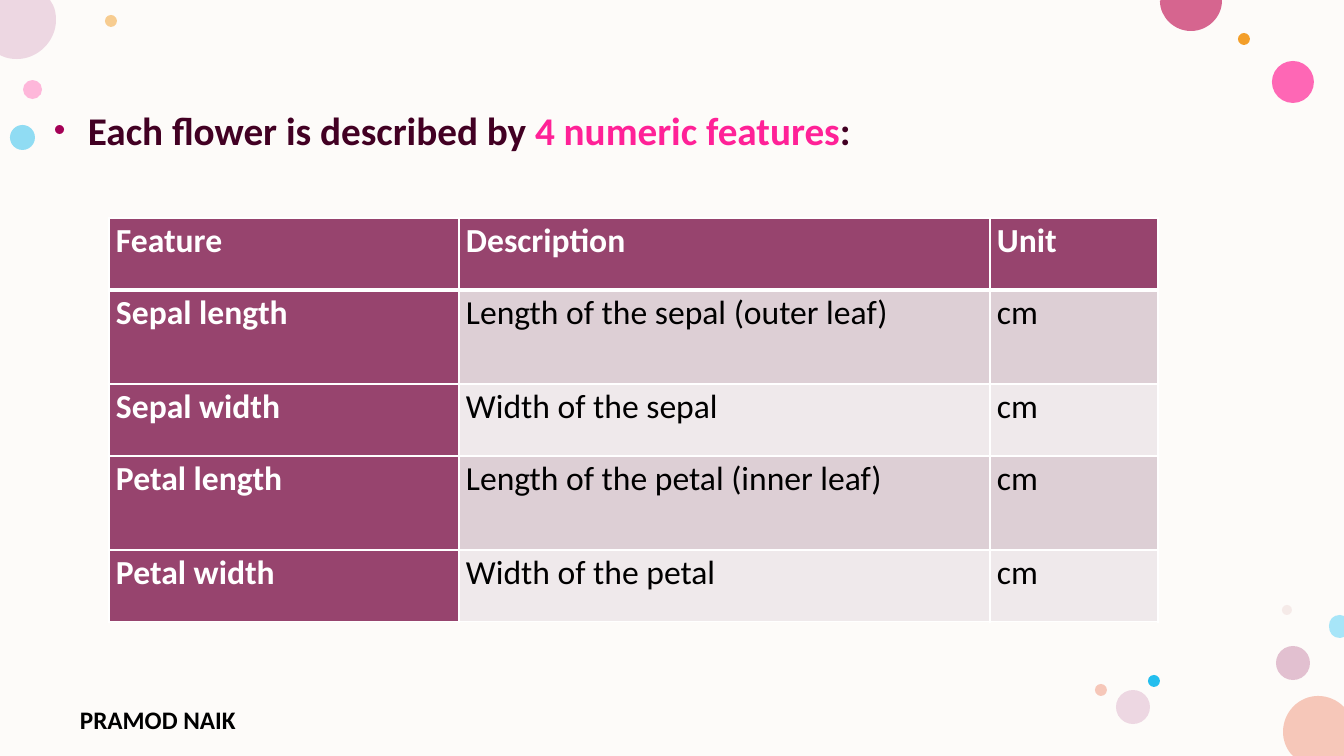
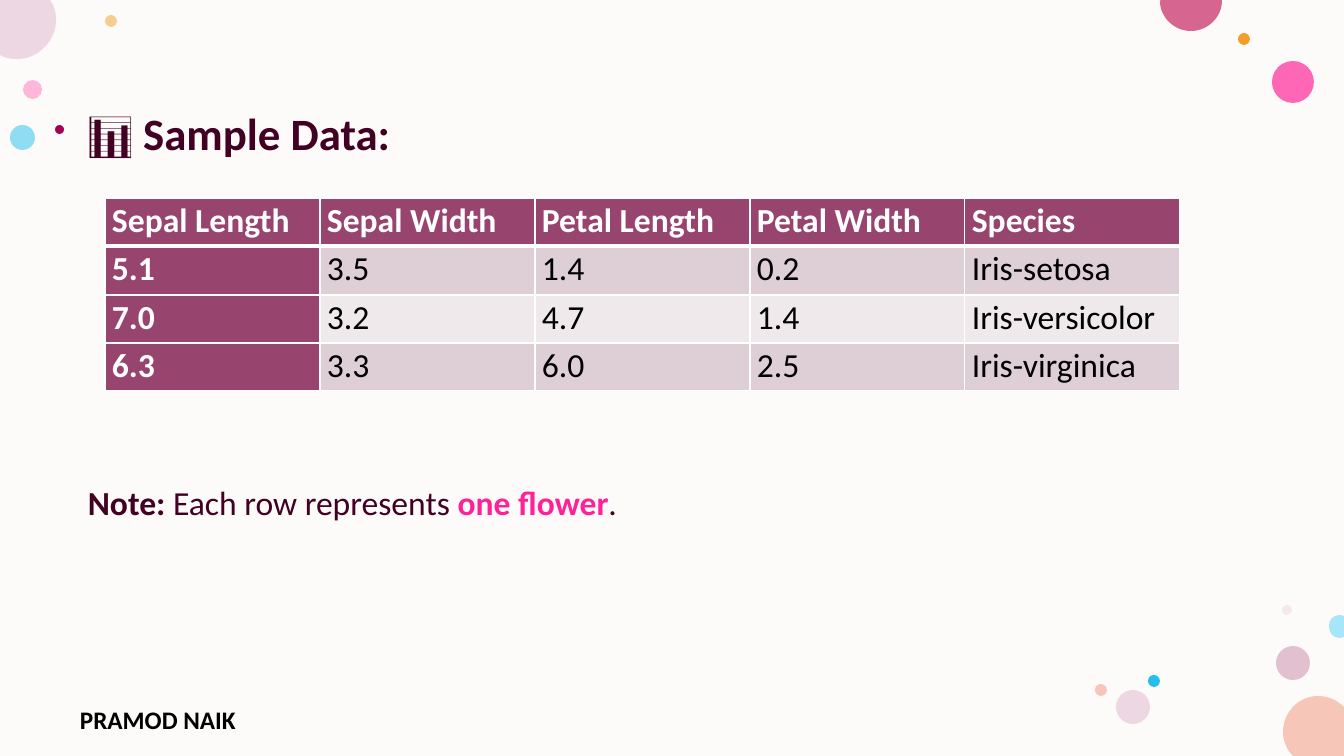
from dataclasses import dataclass

from lxml import etree
from pptx import Presentation
from pptx.dml.color import RGBColor
from pptx.enum.shapes import MSO_SHAPE
from pptx.oxml.ns import qn
from pptx.util import Emu, Pt

OVAL = MSO_SHAPE.OVAL
RECTANGLE = MSO_SHAPE.RECTANGLE

SLIDE_W, SLIDE_H = 1344, 756
EMU_PER_PX = 12192000 / SLIDE_W
FONT = "Calibri"

WHITE = RGBColor(0xFF, 0xFF, 0xFF)
BLACK = RGBColor(0, 0, 0)
CREAM = RGBColor(0xFD, 0xFB, 0xF9)
WINE = RGBColor(0x42, 0x00, 0x23)
PINK = RGBColor(0xFF, 0x21, 0x97)
PLUM = RGBColor(0x97, 0x44, 0x6E)
BAND_DARK = RGBColor(0xDD, 0xCF, 0xD5)
BAND_LIGHT = RGBColor(0xEF, 0xE9, 0xEB)
ROSE = RGBColor(0xFF, 0x75, 0xBD)
ORANGE = RGBColor(0xF3, 0x9E, 0x29)
MAUVE = RGBColor(0xC9, 0x87, 0xA8)
BLUE = RGBColor(0x24, 0xBE, 0xEE)
HOT_PINK = RGBColor(0xFF, 0x2F, 0x9C)
BLUSH = RGBColor(0xE3, 0xBE, 0xBE)
LILAC = RGBColor(0xED, 0xD7, 0xE2)
PEACH = RGBColor(0xF6, 0xC7, 0xB9)
RASPBERRY = RGBColor(0xD6, 0x65, 0x8F)
MAGENTA = RGBColor(0xA4, 0x00, 0x56)
PALE_BLUE = RGBColor(0xA7, 0xE5, 0xF8)

Point = tuple[int, int]


@dataclass(frozen=True)
class Circle:
    left: int
    top: int
    size: int
    color: RGBColor
    opacity: int = 100


@dataclass(frozen=True)
class CutCircle:
    """Circle cut by the slide edge; a step has one point (line) or three (curve)."""
    color: RGBColor
    start: Point
    steps: list[list[Point]]


@dataclass(frozen=True)
class Span:
    text: str
    color: RGBColor = WINE
    bold: bool = True


@dataclass(frozen=True)
class Line:
    spans: list[Span]
    size: int
    space_before: int = 0


@dataclass(frozen=True)
class Grid:
    left: int
    top: int
    col_widths: list[int]
    row_heights: list[int]
    rows: list[list[str]]


CIRCLES = [
    Circle(23, 80, 19, ROSE, 50),
    Circle(105, 15, 12, ORANGE, 50),
    Circle(1276, 646, 34, MAUVE, 50),
    Circle(10, 125, 25, BLUE, 50),
    Circle(1272, 61, 42, HOT_PINK, 72),
    Circle(1238, 33, 12, ORANGE),
    Circle(1282, 605, 10, BLUSH, 28),
    Circle(1148, 675, 12, BLUE),
    Circle(1116, 690, 34, LILAC),
    Circle(1095, 684, 12, PEACH),
    Circle(55, 125, 9, MAGENTA),
]

CUT_CIRCLES = [
    CutCircle(PEACH, (1318, 696), [
        [(1328, 696), (1337, 700), (1344, 707)], [(1344, 756)], [(1293, 756)],
        [(1291, 754)], [(1286, 748), (1283, 740), (1283, 732)],
        [(1283, 712), (1299, 696), (1318, 696)]]),
    CutCircle(LILAC, (0, 0), [
        [(50, 0)], [(53, 5)], [(55, 9), (56, 14), (56, 20)],
        [(56, 41), (38, 59), (17, 59)], [(11, 59), (6, 58), (2, 56)], [(0, 55)]]),
    CutCircle(RASPBERRY, (1161, 0), [
        [(1222, 0)], [(1222, 1)], [(1222, 17), (1208, 31), (1191, 31)],
        [(1174, 31), (1160, 17), (1160, 1)]]),
    CutCircle(PALE_BLUE, (1340, 615), [
        [(1344, 616)], [(1344, 637)], [(1340, 638)],
        [(1333, 638), (1329, 633), (1329, 626)],
        [(1329, 620), (1333, 615), (1340, 615)]]),
]

FEATURES = Grid(109, 218, [350, 531, 168], [72, 94, 72, 94, 72], [
    ["Feature", "Description", "Unit"],
    ["Sepal length", "Length of the sepal (outer leaf)", "cm"],
    ["Sepal width", "Width of the sepal", "cm"],
    ["Petal length", "Length of the petal (inner leaf)", "cm"],
    ["Petal width", "Width of the petal", "cm"],
])
FEATURE_LINES = [
    Line([Span("Each flower is described by "),
          Span("4 numeric features", PINK), Span(":")], 28),
]

SAMPLES = Grid(105, 198, [215] * 5, [48, 49, 48, 48], [
    ["Sepal Length", "Sepal Width", "Petal Length", "Petal Width", "Species"],
    ["5.1", "3.5", "1.4", "0.2", "Iris-setosa"],
    ["7.0", "3.2", "4.7", "1.4", "Iris-versicolor"],
    ["6.3", "3.3", "6.0", "2.5", "Iris-virginica"],
])
SAMPLE_LINES = [
    Line([Span("📊 Sample Data:")], 32),
    Line([Span("Note: "), Span("Each row represents ", bold=False),
          Span("one flower", PINK), Span(".", bold=False)], 24, 233),
]


def px(n: int) -> Emu:
    return Emu(round(n * EMU_PER_PX))


def paint(sp, color: RGBColor, opacity: int = 100) -> None:
    sp.shadow.inherit = False
    sp.line.fill.background()
    sp.fill.solid()
    sp.fill.fore_color.rgb = color
    if opacity < 100:
        clr = sp._element.spPr.find(qn("a:solidFill"))[0]
        etree.SubElement(clr, qn("a:alpha"), val=str(opacity * 1000))


def add_preset(s, preset, left: int, top: int, width: int, height: int):
    return s.shapes.add_shape(preset, px(left), px(top), px(width), px(height))


def add_cut_circle(s, cut: CutCircle) -> None:
    builder = s.shapes.build_freeform(px(cut.start[0]), px(cut.start[1]))
    builder.add_line_segments([(px(x), px(y)) for step in cut.steps for x, y in step])
    sp = builder.convert_to_shape()
    segments = iter(list(sp._element.iter(qn("a:lnTo"))))
    for step in cut.steps:
        group = [next(segments) for _ in step]
        if len(group) == 3:
            curve = etree.Element(qn("a:cubicBezTo"))
            group[0].addprevious(curve)
            for segment in group:
                curve.append(segment[0])
                segment.getparent().remove(segment)
    paint(sp, cut.color)


def add_text(s, left: int, top: int, width: int, height: int,
             lines: list[Line], spacing: float) -> None:
    tf = s.shapes.add_textbox(px(left), px(top), px(width), px(height)).text_frame
    tf.word_wrap = True
    for i, line in enumerate(lines):
        p = tf.add_paragraph() if i else tf.paragraphs[0]
        p.line_spacing = spacing
        if line.space_before:
            p.space_before = Pt(line.space_before)
        p.font.name = FONT
        p.font.size = Pt(line.size)
        for span in line.spans:
            r = p.add_run()
            r.text = span.text
            r.font.bold = span.bold
            r.font.color.rgb = span.color


def set_borders(cell, bottom_pt: int) -> None:
    tc_pr = cell._tc.get_or_add_tcPr()
    for i, (side, width) in enumerate(
            [("lnL", 1), ("lnR", 1), ("lnT", 1), ("lnB", bottom_pt)]):
        ln = etree.Element(qn(f"a:{side}"), w=str(Pt(width)))
        fill = etree.SubElement(ln, qn("a:solidFill"))
        etree.SubElement(fill, qn("a:srgbClr"), val=str(WHITE))
        tc_pr.insert(i, ln)


def add_grid(s, g: Grid) -> None:
    table = s.shapes.add_table(
        len(g.rows), len(g.col_widths), px(g.left), px(g.top),
        px(sum(g.col_widths)), px(sum(g.row_heights))).table
    table.first_col = True
    for col, width in zip(table.columns, g.col_widths):
        col.width = px(width)
    for i, (row, height, texts) in enumerate(zip(table.rows, g.row_heights, g.rows)):
        row.height = px(height)
        for j, (cell, text) in enumerate(zip(row.cells, texts)):
            heading = i == 0 or j == 0
            cell.margin_left = cell.margin_right = px(7)
            cell.margin_top = cell.margin_bottom = 0
            cell.fill.solid()
            cell.fill.fore_color.rgb = (
                PLUM if heading else BAND_DARK if i % 2 else BAND_LIGHT)
            set_borders(cell, 1 if i else 3)
            cell.text = text
            p = cell.text_frame.paragraphs[0]
            p.line_spacing = 1.07
            p.space_after = Pt(8)
            p.font.name = FONT
            p.font.size = Pt(24)
            p.font.bold = heading
            p.font.color.rgb = WHITE if heading else BLACK


def add_slide(prs, lines: list[Line], grid: Grid) -> None:
    s = prs.slides.add_slide(prs.slide_layouts[6])
    paint(add_preset(s, RECTANGLE, 0, 0, SLIDE_W, SLIDE_H), CREAM)
    for c in CIRCLES:
        paint(add_preset(s, OVAL, c.left, c.top, c.size, c.size), c.color, c.opacity)
    for cut in CUT_CIRCLES:
        add_cut_circle(s, cut)
    add_text(s, 70, 699, 247, 32, [Line([Span("PRAMOD NAIK", BLACK)], 18)], 1.0)
    add_text(s, 78, 107, 1202, 543, lines, 0.9)
    add_grid(s, grid)


def main() -> None:
    prs = Presentation()
    prs.slide_width, prs.slide_height = px(SLIDE_W), px(SLIDE_H)
    add_slide(prs, FEATURE_LINES, FEATURES)
    add_slide(prs, SAMPLE_LINES, SAMPLES)
    prs.save("out.pptx")


if __name__ == "__main__":
    main()
